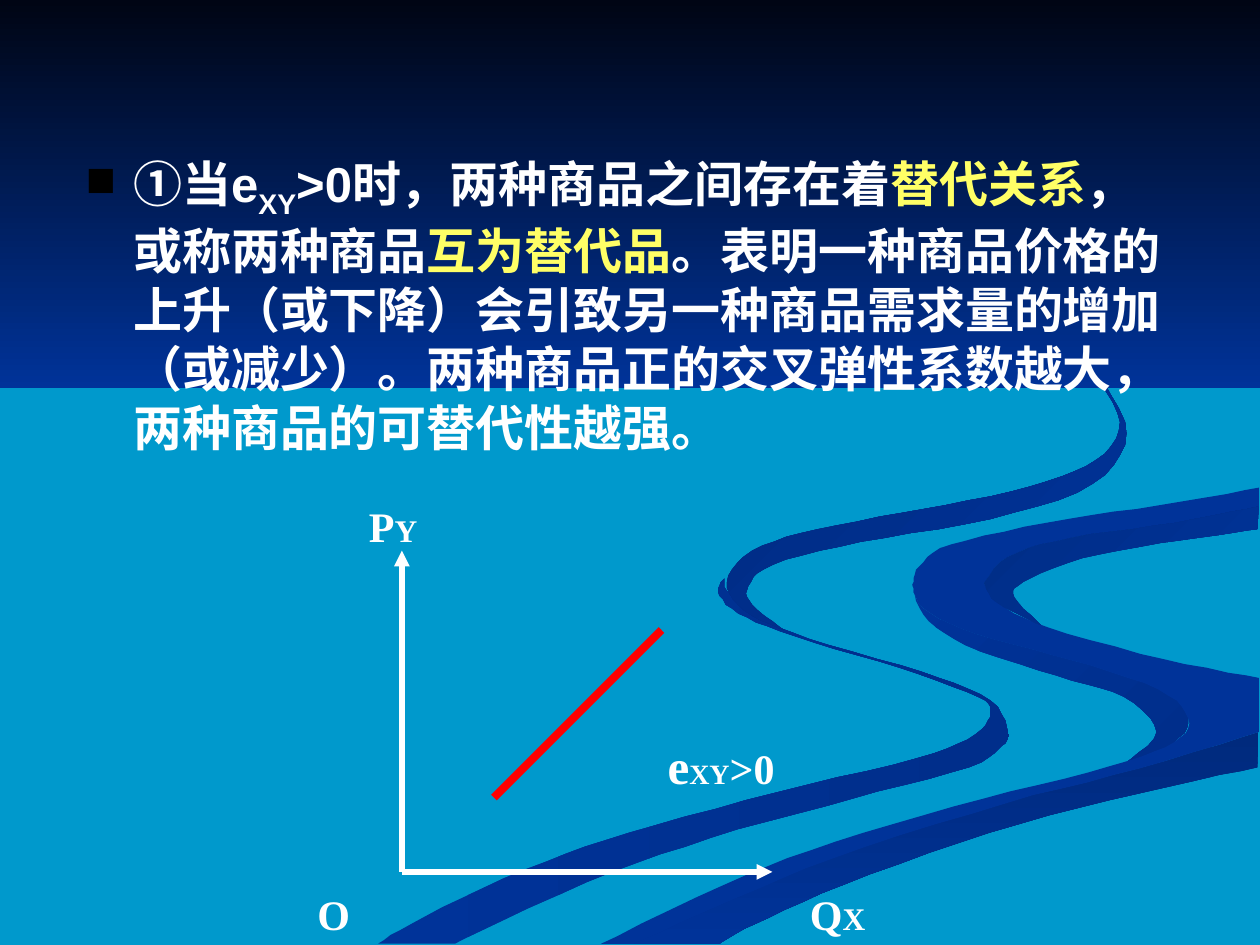
from lxml import etree
from pptx import Presentation
from pptx import util as u
from pptx.dml.color import RGBColor
from pptx.enum import shapes, text
from pptx.oxml import ns

PX = 9144
STEPS = 5
WHITE = RGBColor(0xFF, 0xFF, 0xFF)
YELLOW = RGBColor(0xFF, 0xFF, 0x66)
RED = RGBColor(0xFF, 0x00, 0x00)
WATER = RGBColor(0x00, 0x99, 0xCC)
NIGHT = RGBColor(0x00, 0x05, 0x14)
ROYAL = RGBColor(0x00, 0x33, 0x99)
DUSK = RGBColor(0x00, 0x2E, 0x8B)
DEEP = RGBColor(0x00, 0x2A, 0x7D)
SHADE = RGBColor(0x00, 0x2D, 0x86)
DARK = RGBColor(0x00, 0x2B, 0x82)

CREST = [(724, 464), (733, 483), (774, 503), (850, 524), (919, 547),
         (943, 570), (932, 589)]
BANK = [(881, 608), (780, 634), (663, 668), (573, 703), (477, 749)]
SHORE = [(503, 749), (570, 719), (662, 681), (797, 638), (904, 610), (999, 581)]
COVE = [(781, 463), (800, 442), (850, 427), (933, 415), (999, 402)]
LOWER = [
    [(575, 459), (570, 470), (586, 487), (631, 505), (714, 530), (776, 553),
     (786, 566), (774, 583), (727, 602), (616, 629), (499, 661), (417, 690),
     (338, 727), (300, 749)],
    [(361, 749), (466, 700), (564, 665), (676, 634), (769, 609), (795, 592),
     (800, 581), (786, 556), (731, 533), (642, 507), (594, 485), (575, 466)]]
BEND = [
    [(724, 464), (733, 488), (766, 512), (838, 536), (892, 553), (918, 581),
     (894, 605)],
    [(894, 605)] + CREST[::-1]]
EDGE = [
    SHORE[::-1],
    [(571, 749), (600, 733), (670, 702), (785, 661), (903, 630), (998, 609)]]
BROAD = [
    CREST + BANK, SHORE,
    [(999, 538), (923, 523), (832, 498), (794, 480), (781, 463)], COVE,
    [(999, 387), (920, 401), (830, 415), (755, 432), (730, 449), (724, 464)]]
INNER = [
    COVE,
    [(998, 420), (936, 429), (859, 443), (812, 462), (805, 474), (826, 496)],
    [(826, 496), (791, 478), (781, 463)]]
UPPER = [
    [(870, 299), (889, 335), (870, 365), (818, 386), (733, 404), (649, 420),
     (597, 437), (577, 462), (590, 484), (622, 500)],
    [(622, 500), (597, 480), (594, 465), (614, 448), (683, 430), (786, 412),
     (867, 384), (894, 344), (873, 299)]]
SKY = [[(0, 0), (0, 308)], [(1000, 308), (1000, 0)]]

deck = Presentation()
deck.slide_width, deck.slide_height = 1000 * PX, 750 * PX
slide = deck.slides.add_slide(deck.slide_layouts[6])
slide.background.fill.solid()
slide.background.fill.fore_color.rgb = WATER

for sides, first, last, angle in [
        (LOWER, ROYAL, DUSK, 0), (BEND, ROYAL, DUSK, 315),
        (EDGE, DEEP, ROYAL, 270), (BROAD, ROYAL, ROYAL, 0),
        (INNER, SHADE, ROYAL, 315), (UPPER, DARK, ROYAL, 315),
        (SKY, NIGHT, ROYAL, 270)]:
    points = []
    for side in sides:
        pad = side[:1] + side + side[-1:]
        for a, b, c, d in zip(pad, pad[1:], pad[2:], pad[3:]):
            for step in range(STEPS):
                t = step / STEPS
                points.append(tuple(round(
                    q + t * (r - p + t * (2 * p - 5 * q + 4 * r - s
                                          + t * (3 * (q - r) + s - p))) / 2, 2)
                    for p, q, r, s in zip(a, b, c, d)))
        points.append(side[-1])
    form = slide.shapes.build_freeform(*points[0], scale=PX)
    form.add_line_segments(points[1:], close=True)
    shape = form.convert_to_shape()
    shape.shadow.inherit = False
    shape.line.fill.background()
    if first == last:
        shape.fill.solid()
        shape.fill.fore_color.rgb = first
    else:
        shape.fill.gradient()
        shape.fill.gradient_angle = angle
        for stop, color in zip(shape.fill.gradient_stops, (first, last)):
            stop.color.rgb = color


def add_text(left, top, width, height):
    box = slide.shapes.add_textbox(left * PX, top * PX, width * PX, height * PX)
    box.text_frame.word_wrap = True
    return box.text_frame


def add_line(start, end, color, width, arrow):
    line = slide.shapes.add_connector(
        shapes.MSO_CONNECTOR.STRAIGHT, *(n * PX for n in start + end))
    line.line.color.rgb = color
    line.line.width = u.Pt(width)
    if arrow:
        edge = line._element.spPr.find(ns.qn("a:ln"))
        etree.SubElement(edge, ns.qn("a:tailEnd"), type="triangle")
    etree.SubElement(line._element.spPr, ns.qn("a:effectLst"))


para = add_text(58, 117, 883, 608).paragraphs[0]
props = para._p.get_or_add_pPr()
props.set("marL", str(38 * PX))
props.set("indent", str(-38 * PX))
tint = etree.SubElement(props, ns.qn("a:buClr"))
etree.SubElement(tint, ns.qn("a:srgbClr"), val="000000")
etree.SubElement(props, ns.qn("a:buSzPct"), val="85000")
etree.SubElement(props, ns.qn("a:buChar"), char="■")
para.font.name, para.font.size, para.font.bold = "Arial", u.Pt(28), True
for words, color, base in [
        ("①当e", WHITE, 0), ("XY", WHITE, -25000),
        (">0时，两种商品之间存在着", WHITE, 0), ("替代关系", YELLOW, 0),
        ("，或称两种商品", WHITE, 0), ("互为替代品", YELLOW, 0),
        ("。表明一种商品价格的上升（或下降）会引致另一种商品需求量的增加（或减少）。"
         "两种商品正的交叉弹性系数越大，两种商品的可替代性越强。", WHITE, 0)]:
    run = para.add_run()
    run.text = words
    run.font.color.rgb = color
    if base:
        run._r.get_or_add_rPr().set("baseline", str(base))

add_line((319, 692), (319, 437), WHITE, 3, True)
add_line((319, 692), (613, 692), WHITE, 3, True)
add_line((392, 633), (525, 500), RED, 4.5, False)

for place, parts in [
        ((633, 700, 117, 50), [("Q", 24), ("X", 18)]),
        ((520, 579, 122, 57), [("e", 28), ("XY", 16), (">0", 24)]),
        ((283, 392, 79, 50), [("P", 24), ("Y", 18)]),
        ((242, 700, 92, 50), [("O", 24)])]:
    frame = add_text(*place)
    frame.auto_size = text.MSO_AUTO_SIZE.SHAPE_TO_FIT_TEXT
    para = frame.paragraphs[0]
    para.font.name, para.font.bold = "Times New Roman", True
    para.font.color.rgb = WHITE
    for words, size in parts:
        run = para.add_run()
        run.text = words
        run.font.size = u.Pt(size)

deck.save("out.pptx")
